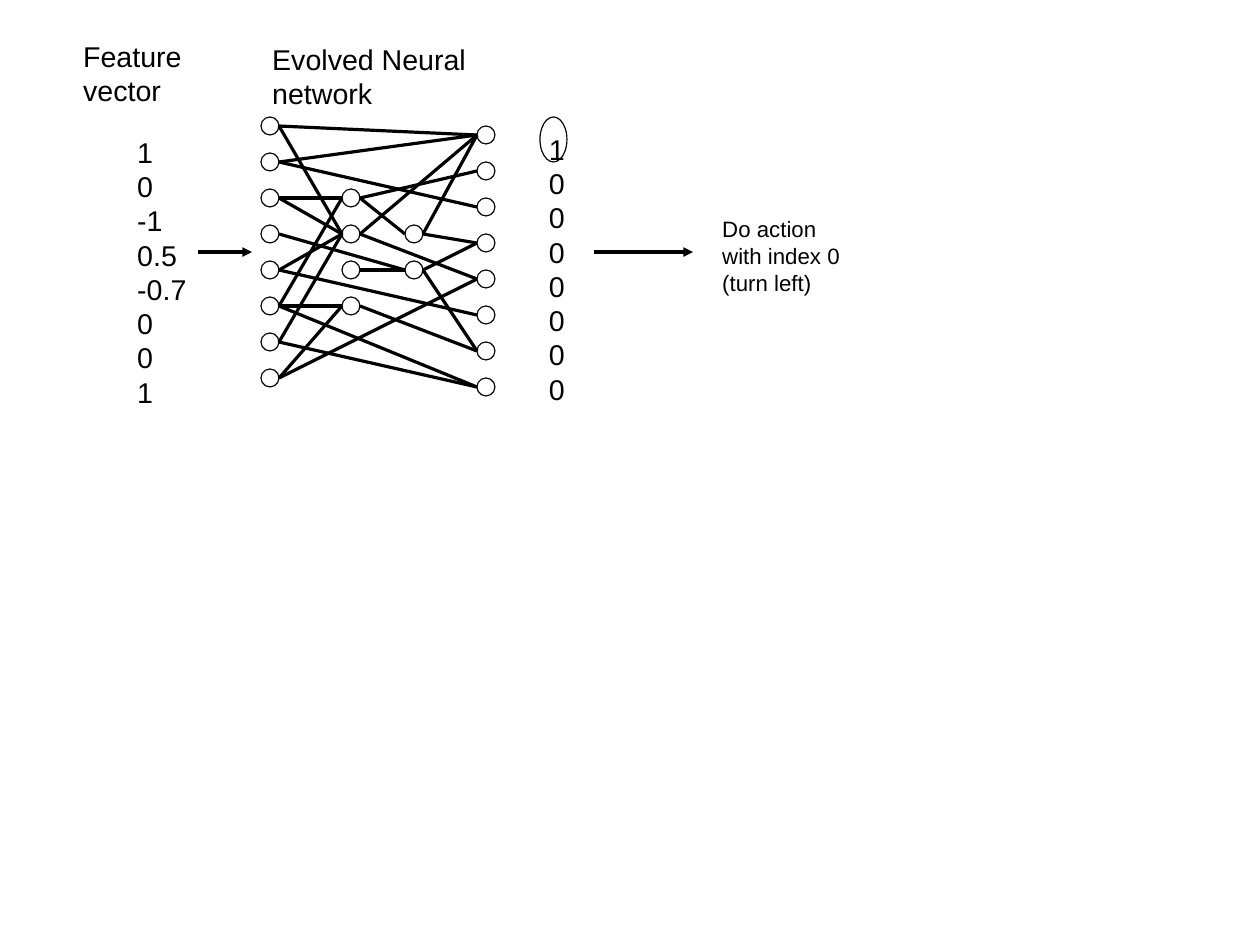
from pptx import Presentation
from pptx.dml.color import RGBColor
from pptx.enum.shapes import MSO_CONNECTOR, MSO_SHAPE
from pptx.enum.text import MSO_AUTO_SIZE
from pptx.oxml.ns import qn
from pptx.util import Pt
from lxml import etree

OVAL = MSO_SHAPE.OVAL
LINE = MSO_CONNECTOR.STRAIGHT
GROW = MSO_AUTO_SIZE.SHAPE_TO_FIT_TEXT

SCALE = 8000  # EMU per px
COLORS = {"ink": "000000", "paper": "FFFFFF"}
FONT = "Arial"
NODE = 18
STEP = 36

# Layer name: centre x, centre y of the first node, node count
LAYERS = {
    "in": (270, 126, 8),
    "hid": (351, 198, 4),
    "mid": (414, 234, 2),
    "out": (486, 135, 8),
}
# Layer pair: links between node indexes
LINKS = {
    ("in", "hid"): [(0, 1), (2, 0), (2, 1), (4, 1), (5, 0), (5, 3), (6, 1), (7, 3)],
    ("in", "mid"): [(3, 1)],
    ("in", "out"): [(0, 0), (1, 0), (1, 2), (4, 5), (5, 7), (6, 7), (7, 4)],
    ("hid", "mid"): [(0, 0), (2, 1)],
    ("hid", "out"): [(0, 1), (1, 0), (1, 4), (3, 6)],
    ("mid", "out"): [(0, 0), (0, 3), (1, 3), (1, 6)],
}
FEATURES = ["1", "0", "-1", "0.5", "-0.7", "0", "0", "1"]
ACTIONS = ["1"] + ["0"] * 7


def px(*sizes):
    return [size * SCALE for size in sizes]


def center(layer, index):
    x, y, _ = LAYERS[layer]
    return x, y + index * STEP


class Sketch:
    def __init__(self, slide):
        self.shapes = slide.shapes
        self.ink = RGBColor.from_string(COLORS["ink"])
        self.paper = RGBColor.from_string(COLORS["paper"])

    def stroke(self, line):
        line.color.rgb = self.ink
        line.width = 0

    def oval(self, x, y, w, h):
        shape = self.shapes.add_shape(OVAL, *px(x, y, w, h))
        shape.shadow.inherit = False
        shape.fill.solid()
        shape.fill.fore_color.rgb = self.paper
        self.stroke(shape.line)

    def link(self, x1, y1, x2, y2, arrow=False):
        link = self.shapes.add_connector(LINE, *px(x1, y1, x2, y2))
        self.stroke(link.line)
        if arrow:
            tail = etree.SubElement(link.line._get_or_add_ln(), qn("a:tailEnd"))
            tail.set("type", "triangle")
        etree.SubElement(link._element.spPr, qn("a:effectLst"))

    def text(self, x, y, w, h, lines, size=18, wrap=True, inset=None):
        frame = self.shapes.add_textbox(*px(x, y, w, h)).text_frame
        frame.word_wrap = wrap
        frame.auto_size = GROW
        if inset is not None:
            frame.margin_left = frame.margin_right = inset * SCALE
        frame.text = "\n".join(lines)
        for para in frame.paragraphs:
            for run in para.runs:
                run.font.name = FONT
                run.font.size = Pt(size)
                run.font.color.rgb = self.ink


def main():
    deck = Presentation()
    deck.slide_width, deck.slide_height = px(1260, 945)
    sketch = Sketch(deck.slides.add_slide(deck.slide_layouts[6]))

    sketch.oval(540, 117, 27, 45)
    half = NODE // 2
    for layer, (_, _, count) in LAYERS.items():
        for index in range(count):
            x, y = center(layer, index)
            sketch.oval(x - half, y - half, NODE, NODE)
    for (left, right), pairs in LINKS.items():
        for start, end in pairs:
            x1, y1 = center(left, start)
            x2, y2 = center(right, end)
            sketch.link(x1 + half, y1, x2 - half, y2)

    sketch.text(72, 33, 153, 75, ["Feature vector"])
    sketch.text(126, 129, 72, 267, FEATURES, wrap=False)
    sketch.link(198, 252, 252, 252, arrow=True)
    sketch.text(549, 126, 18, 267, ACTIONS, inset=0)
    sketch.link(594, 252, 693, 252, arrow=True)
    sketch.text(711, 210, 153, 86, ["Do action with index 0 (turn left)"], size=14)
    sketch.text(261, 36, 261, 75, ["Evolved Neural network"])

    deck.save("out.pptx")


if __name__ == "__main__":
    main()
